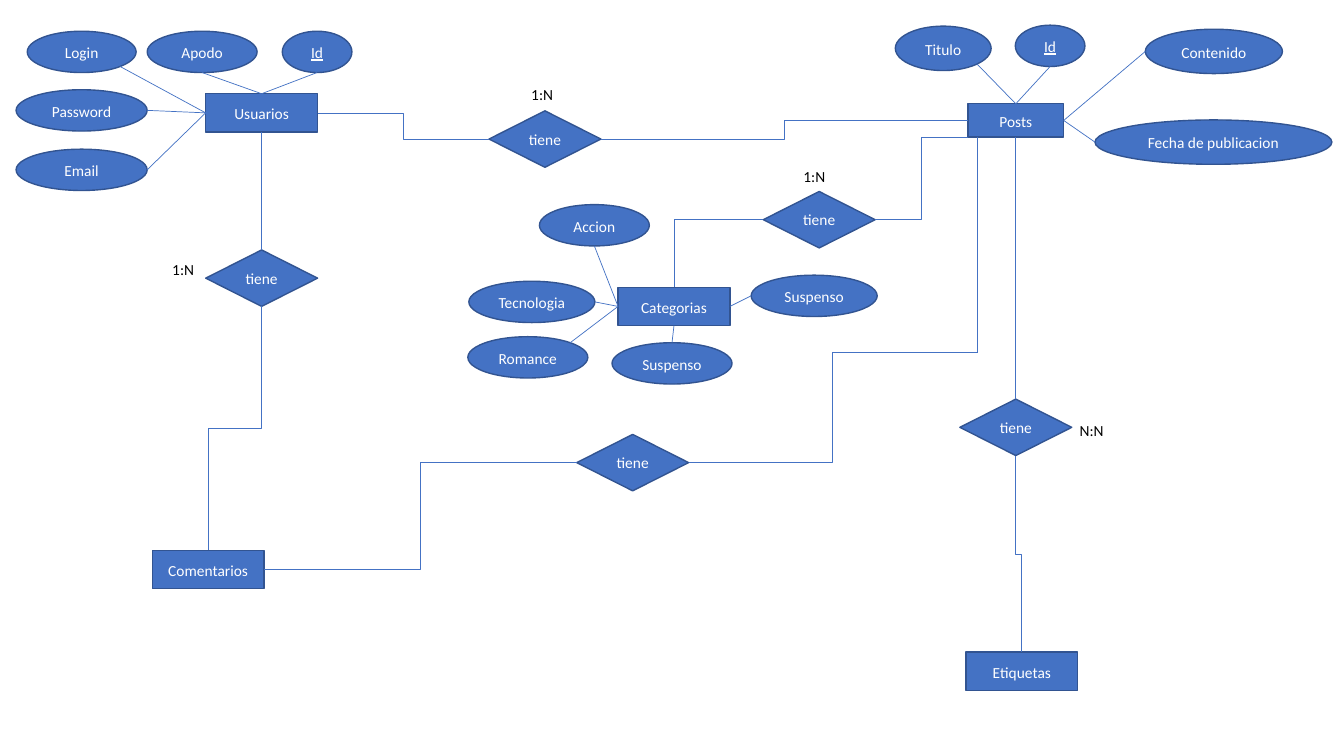
import math

import pptx
import pptx.dml.color
import pptx.enum.shapes
import pptx.enum.text
import pptx.oxml.ns
import pptx.util
from pptx.util import Inches

SHAPE = pptx.enum.shapes.MSO_SHAPE
LINE = pptx.enum.shapes.MSO_CONNECTOR
FONT = "Calibri"
BLUE, EDGE, WHITE, BLACK = "4472C4", "325491", "FFFFFF", "000000"
TOP, LEFT, BASE, RIGHT = range(4)
SIDES = ((0.5, 0), (0, 0.5), (0.5, 1), (1, 0.5))

TABLES = {
    "Usuarios": (2.04, 0.93, 1.11, 0.38),
    "Posts": (9.6, 1.03, 0.95, 0.33),
    "Comentarios": (1.51, 5.46, 1.11, 0.38),
    "Categorias": (6.13, 2.85, 1.11, 0.38),
    "Etiquetas": (9.58, 6.47, 1.11, 0.38),
}
FIELDS = (
    ("Usuarios", LEFT, "Login", (0.27, 0.31, 1.08, 0.41), 45),
    ("Usuarios", LEFT, "Password", (0.16, 0.89, 1.3, 0.41), 0),
    ("Usuarios", LEFT, "Email", (0.16, 1.48, 1.3, 0.41), 0),
    ("Usuarios", TOP, "Id", (2.8, 0.31, 0.69, 0.41), 90),
    ("Usuarios", TOP, "Apodo", (1.46, 0.31, 1.09, 0.41), 90),
    ("Posts", TOP, "Titulo", (8.88, 0.26, 0.95, 0.44), 45),
    ("Posts", TOP, "Id", (10.07, 0.25, 0.69, 0.41), 90),
    ("Posts", RIGHT, "Contenido", (11.36, 0.29, 1.36, 0.44), 180),
    ("Posts", RIGHT, "Fecha de publicacion", (10.86, 1.19, 2.35, 0.44), 180),
    ("Categorias", LEFT, "Accion", (5.35, 2.03, 1.09, 0.41), 90),
    ("Categorias", LEFT, "Tecnologia", (4.65, 2.79, 1.25, 0.41), 0),
    ("Categorias", LEFT, "Romance", (4.64, 3.34, 1.19, 0.41), -45),
    ("Categorias", BASE, "Suspenso", (6.07, 3.4, 1.19, 0.41), -90),
    ("Categorias", RIGHT, "Suspenso", (7.45, 2.73, 1.25, 0.41), 180),
)
LABELS = (
    ("1:N", 5.17, 0.8),
    ("1:N", 1.61, 2.53),
    ("1:N", 7.87, 1.61),
    ("N:N", 10.61, 4.13),
)


def shade(code):
    return pptx.dml.color.RGBColor.from_string(code)


def write(shape, text, tint):
    par = shape.text_frame.paragraphs[0]
    par.text = text
    par.font.name = FONT
    par.font.size = pptx.util.Pt(11)
    par.font.color.rgb = shade(tint)
    return par


def node(slide, kind, text, box):
    shape = slide.shapes.add_shape(kind, *map(Inches, box))
    shape.shadow.inherit = False
    shape.fill.solid()
    shape.fill.fore_color.rgb = shade(BLUE)
    shape.line.color.rgb = shade(EDGE)
    shape.line.width = pptx.util.Pt(1)
    frame = shape.text_frame
    frame.word_wrap = True
    frame.vertical_anchor = pptx.enum.text.MSO_ANCHOR.MIDDLE
    par = write(shape, text, WHITE)
    par.alignment = pptx.enum.text.PP_ALIGN.CENTER
    if kind != SHAPE.DIAMOND:
        par.line_spacing = 1.07
        par.space_after = pptx.util.Pt(8)
    if text == "Id":
        par.font.underline = True
    return shape


def label(slide, text, left, top):
    box = slide.shapes.add_textbox(Inches(left), Inches(top), Inches(0.78), Inches(0.29))
    box.text_frame.word_wrap = True
    box.text_frame.auto_size = pptx.enum.text.MSO_AUTO_SIZE.SHAPE_TO_FIT_TEXT
    write(box, text, BLACK)


def rim(oval, angle):
    turn = math.radians(angle)
    return (int(oval.left + oval.width * (1 + math.cos(turn)) / 2),
            int(oval.top + oval.height * (1 + math.sin(turn)) / 2))


def spot(end):
    shape, side = end
    if isinstance(shape, int):
        return end
    across, down = SIDES[side]
    return int(shape.left + shape.width * across), int(shape.top + shape.height * down)


def link(slide, start, stop, kind=LINE.STRAIGHT, upright=False):
    (x1, y1), (x2, y2) = spot(start), spot(stop)
    wire = slide.shapes.add_connector(kind, x1, y1, x2, y2)
    if not isinstance(start[0], int):
        wire.begin_connect(*start)
    if not isinstance(stop[0], int):
        wire.end_connect(*stop)
    if upright:
        mid_x, mid_y = (x1 + x2) // 2, (y1 + y2) // 2
        half_x, half_y = (x2 - x1) // 2, (y2 - y1) // 2
        wire.begin_x, wire.begin_y = mid_x - half_y, mid_y + half_x
        wire.end_x, wire.end_y = mid_x + half_y, mid_y - half_x
        wire._element.spPr.find(pptx.oxml.ns.qn("a:xfrm")).set("rot", "5400000")
    wire.line.color.rgb = shade(BLUE)
    wire.line.width = pptx.util.Pt(0.5)
    wire._element.spPr.append(pptx.oxml.parse_xml(
        f'<a:effectLst {pptx.oxml.ns.nsdecls("a")}/>'))
    return wire


def bend(slide, start, stop, upright=False):
    return link(slide, start, stop, LINE.ELBOW, upright)


def knee(slide, start, stop):
    wire = bend(slide, start, stop)
    form = wire._element.spPr.find(pptx.oxml.ns.qn("a:prstGeom"))
    form.set("prst", "bentConnector2")


def main():
    deck = pptx.Presentation()
    deck.slide_width, deck.slide_height = Inches(13.33), Inches(7.5)
    slide = deck.slides.add_slide(deck.slide_layouts[6])

    tables = {name: node(slide, SHAPE.RECTANGLE, name, box)
              for name, box in TABLES.items()}
    for table, side, text, box, angle in FIELDS:
        oval = node(slide, SHAPE.OVAL, text, box)
        link(slide, rim(oval, angle), (tables[table], side))

    users, posts, notes, kinds, tags = tables.values()
    wrote, said, holds, sorts, marks = (
        node(slide, SHAPE.DIAMOND, "tiene", (left, top, 1.11, 0.56))
        for left, top in ((4.85, 1.1), (2.04, 2.48), (5.72, 4.31),
                          (7.57, 1.9), (9.52, 3.96)))

    bend(slide, (users, RIGHT), (wrote, LEFT))
    bend(slide, (wrote, RIGHT), (posts, LEFT))
    link(slide, (users, BASE), (said, TOP))
    bend(slide, (notes, TOP), (said, BASE), upright=True)
    bend(slide, (notes, RIGHT), (holds, LEFT))
    turn = Inches(9.69), Inches(3.5)
    bend(slide, (holds, RIGHT), turn)
    link(slide, turn, (turn[0], posts.top + posts.height))
    knee(slide, (sorts, LEFT), (kinds, TOP))
    bend(slide, (sorts, RIGHT), (posts.left, posts.top + posts.height))
    link(slide, (posts, BASE), (marks, TOP))
    bend(slide, (tags, TOP), (marks, BASE), upright=True)

    for text, left, top in LABELS:
        label(slide, text, left, top)
    deck.save("out.pptx")


if __name__ == "__main__":
    main()
